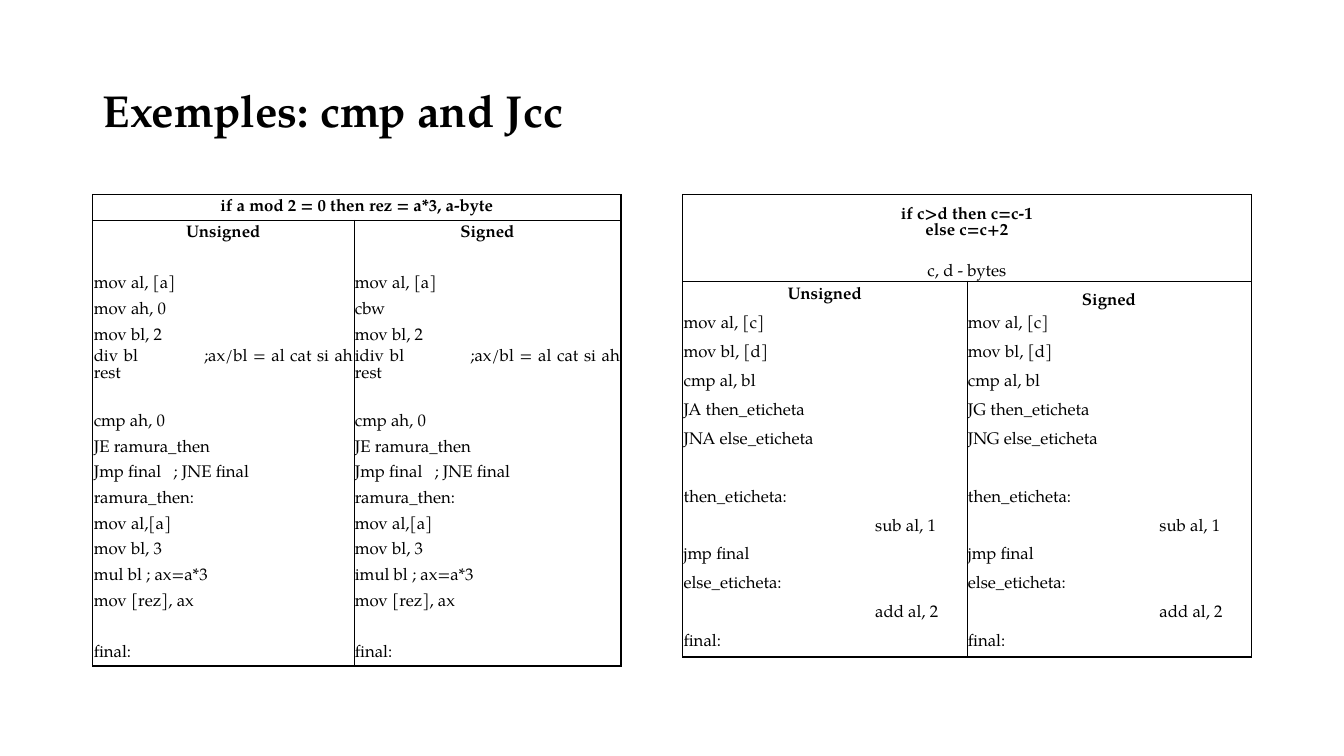
from dataclasses import dataclass

from lxml import etree
from pptx import Presentation
from pptx.dml.color import RGBColor
from pptx.enum.text import MSO_ANCHOR, PP_ALIGN
from pptx.oxml.ns import qn
from pptx.util import Inches, Pt

CENTER, JUSTIFY, LEFT = PP_ALIGN.CENTER, PP_ALIGN.JUSTIFY, PP_ALIGN.LEFT
MIDDLE, BOTTOM = MSO_ANCHOR.MIDDLE, MSO_ANCHOR.BOTTOM
TITLE_ONLY = 5
NO_STYLE = "{2D5ABB26-0587-4C30-8999-92F81FD0307C}"


@dataclass(frozen=True)
class Theme:
    """Colours, font, type sizes and line widths of the slide."""
    font: str = "TeX Gyre Pagella"
    ink: str = "000000"
    title: int = 32
    body: int = 12
    outer: float = 1
    inner: float = 0.5


THEME = Theme()


def both(text):
    """Row with the same instruction for unsigned and signed."""
    return [text, text]


def flush(unsigned, signed=None):
    """Four-column row with its code at the left of each half."""
    return [unsigned, "", signed or unsigned, ""]


def indented(text):
    """Four-column row with its code at the right of each half."""
    return ["", text, "", text]


PARITY_ROWS = [
    both(""), both("mov al, [a]"), ["mov ah, 0", "cbw"], both("mov bl, 2"),
    ["div bl\t;ax/bl = al cat si ah rest",
     "idiv bl\t;ax/bl = al cat si ah rest"],
    both(""), both("cmp ah, 0"), both("JE ramura_then"),
    both("Jmp final\t; JNE final"), both("ramura_then:"),
    both("mov al,[a]"), both("mov bl, 3"),
    ["mul bl ; ax=a*3", "imul bl ; ax=a*3"], both("mov [rez], ax"),
    both(""), both("final:"),
]
PARITY_TABS = {"div bl": 1.08, "idiv bl": 1.13, "Jmp final": 0.79}

COMPARE_ROWS = [
    flush("mov al, [c]"), flush("mov bl, [d]"), flush("cmp al, bl"),
    flush("JA then_eticheta", "JG then_eticheta"),
    flush("JNA else_eticheta", "JNG else_eticheta"),
    flush(""), flush("then_eticheta:"), indented("sub al, 1"),
    flush("jmp final"), flush("else_eticheta:"), indented("add al, 2"),
    flush("final:"),
]


def style_run(r, size, bold):
    """Give a run the theme font and colour."""
    r.font.name, r.font.size, r.font.bold = THEME.font, Pt(size), bold
    r.font.color.rgb = RGBColor.from_string(THEME.ink)


def add_title(s, text):
    """Fill and place the title placeholder."""
    sp = s.shapes.title
    sp.left, sp.top = Inches(0.92), Inches(0.4)
    sp.width, sp.height = Inches(11.5), Inches(1.45)
    tf = sp.text_frame
    tf.text, tf.vertical_anchor = text, MIDDLE
    p = tf.paragraphs[0]
    p.alignment, p.line_spacing = LEFT, 0.9
    style_run(p.runs[0], THEME.title, True)


def set_tab(p, inches):
    """Put one left tab stop on a paragraph."""
    tabs = etree.SubElement(p._p.get_or_add_pPr(), qn("a:tabLst"))
    etree.SubElement(tabs, qn("a:tab"), pos=str(Inches(inches)), algn="l")


def write_cell(cell, text, align=JUSTIFY, bold=False, anchor=MIDDLE):
    """Write text in a cell; an empty cell keeps the body size."""
    cell.margin_left = cell.margin_right = cell.margin_top = Inches(0.01)
    cell.margin_bottom = 0
    cell.vertical_anchor = anchor
    cell.text_frame.text = text
    p = cell.text_frame.paragraphs[0]
    p.alignment = align
    for r in p.runs:
        style_run(r, THEME.body, bold)
    if not text:
        etree.SubElement(p._p, qn("a:endParaRPr"), sz=str(THEME.body * 100))
    label = text.split("\t")[0]
    if "\t" in text:
        set_tab(p, PARITY_TABS[label])


def set_border(cell, side, width):
    """Draw one side of a cell, or leave it open when width is 0."""
    ln = etree.SubElement(cell._tc.get_or_add_tcPr(), qn(f"a:ln{side}"),
                          w=str(Pt(width)))
    if not width:
        etree.SubElement(ln, qn("a:noFill"))
        return
    fill = etree.SubElement(ln, qn("a:solidFill"))
    etree.SubElement(fill, qn("a:srgbClr"), val=THEME.ink)


def rule_table(table, head):
    """Frame the table, its heading and its two halves."""
    n_rows, n_cols = len(table.rows), len(table.columns)

    def width(at, end, divider):
        if at in (0, end):
            return THEME.outer
        return THEME.inner if at == divider else 0

    for i in range(n_rows):
        for j in range(n_cols):
            cell = table.cell(i, j)
            span = cell.span_width if cell.is_merge_origin else 1
            split = n_cols // 2 if i >= head else None
            set_border(cell, "L", width(j, n_cols, split))
            set_border(cell, "R", width(j + span, n_cols, split))
            set_border(cell, "T", width(i, n_rows, head))
            set_border(cell, "B", width(i + 1, n_rows, head))
            cell.fill.background()


def add_code_table(s, left, widths, heights, headings, code, signed_anchor):
    """Add a table: full-width headings, two column titles, code rows."""
    n_cols, head = len(widths), len(headings)
    frame = s.shapes.add_table(len(heights), n_cols, Inches(left), Inches(1.93),
                               Inches(sum(widths)), Inches(sum(heights)))
    table = frame.table
    table.first_row = table.horz_banding = False
    table._tbl.tblPr.find(qn("a:tableStyleId")).text = NO_STYLE
    for column, width in zip(table.columns, widths):
        column.width = Inches(width)
    for row, height in zip(table.rows, heights):
        row.height = Inches(height)

    blank = [""] * n_cols
    for i, values in enumerate([blank] * (head + 1) + code):
        for j, text in enumerate(values):
            write_cell(table.cell(i, j), text)
    for i, (text, bold, anchor) in enumerate(headings):
        table.cell(i, 0).merge(table.cell(i, n_cols - 1))
        write_cell(table.cell(i, 0), text, CENTER, bold, anchor)
    half = n_cols // 2
    titles = [("Unsigned", MIDDLE), ("Signed", signed_anchor)]
    for k, (text, anchor) in enumerate(titles):
        cell = table.cell(head, k * half)
        if half > 1:
            cell.merge(table.cell(head, (k + 1) * half - 1))
        write_cell(cell, text, CENTER, True, anchor)
    rule_table(table, head)


def main():
    """Build the slide and save it."""
    prs = Presentation()
    prs.slide_width, prs.slide_height = Inches(13.33), Inches(7.5)
    s = prs.slides.add_slide(prs.slide_layouts[TITLE_ONLY])
    add_title(s, "Exemples: cmp and Jcc")
    height = 4.59
    add_code_table(
        s, 0.92, [2.59, 2.65], [height / 18] * 18,
        [("if a mod 2 = 0 then rez = a*3, a-byte", True, MIDDLE)],
        PARITY_ROWS, MIDDLE)
    add_code_table(
        s, 6.77, [1.9, 0.92] * 2, [0.57] + [(height - 0.57) / 14] * 14,
        [("if c>d then c=c-1\velse c=c+2", True, MIDDLE),
         ("c, d - bytes", False, BOTTOM)],
        COMPARE_ROWS, BOTTOM)
    prs.save("out.pptx")


main()
